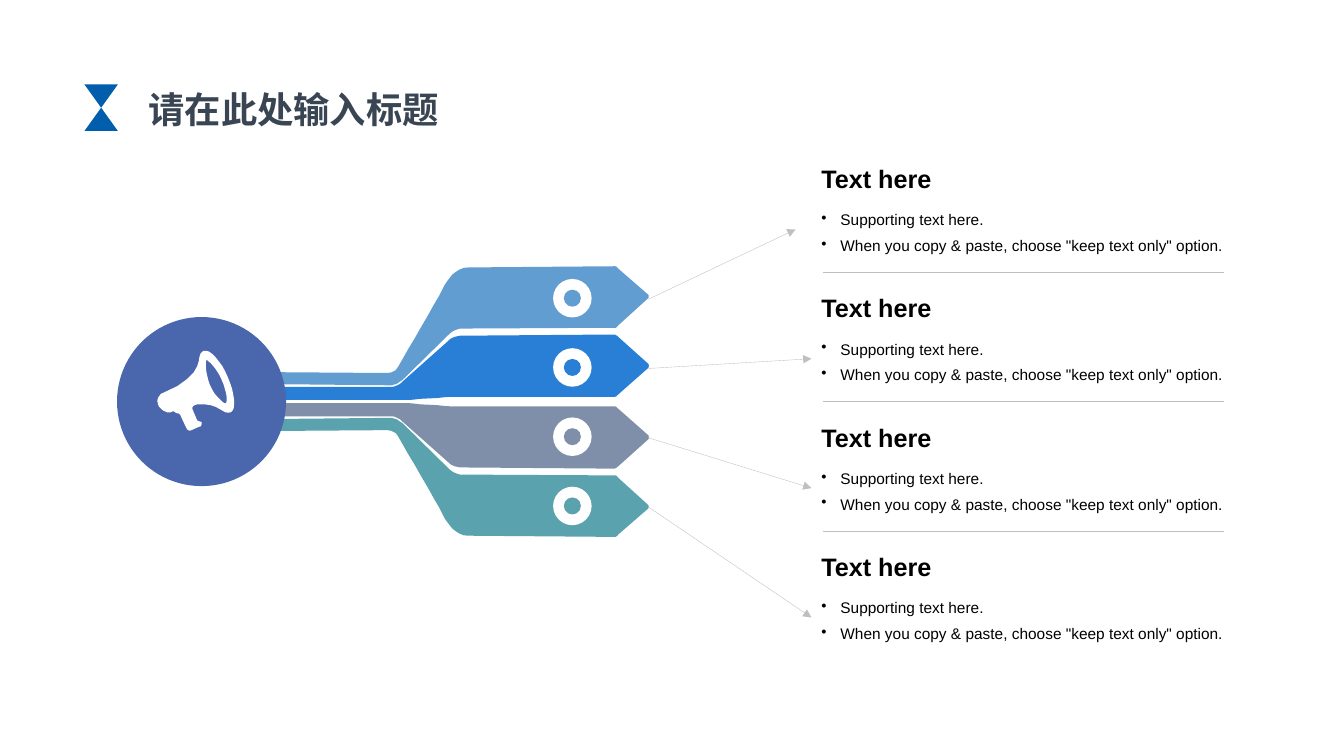
from dataclasses import dataclass

from pptx import Presentation
from pptx.dml.color import RGBColor
from pptx.enum.shapes import MSO_CONNECTOR, MSO_SHAPE as Preset
from pptx.enum.text import MSO_ANCHOR as Anchor, MSO_AUTO_SIZE as Fit, PP_ALIGN as Align
from pptx.oxml.ns import qn
from pptx.oxml.xmlchemy import OxmlElement as Element
from pptx.util import Cm, Pt


@dataclass(frozen=True)
class Theme:
    latin: str = "Arial"
    chinese: str = "Noto Sans CJK SC"
    title: str = "3A4554"
    marker: str = "005EAC"
    hub: str = "4A66AC"
    ribbons: tuple = ("629DD1", "297FD5", "7F8FA9", "5AA2AE")
    text: str = "000000"
    white: str = "FFFFFF"
    rule: str = "BFBFBF"
    title_size: float = 25.9
    heading_size: float = 18
    body_size: float = 11
    rule_width: float = 0.25


THEME = Theme()
SECTION_PITCH = 3.26
RIBBON_PITCH = 1.745
SECTIONS = [("Text here", ["Supporting text here.",
                           'When you copy & paste, choose "keep text only" option.'])] * 4

OUTER_RIBBON = [
    [(3.2, 3)], [(3.35, 3), (3.45, 2.9), (3.51, 2.87)],
    [(4.67, 1.73)], [(4.75, 1.65), (4.88, 1.57), (5.03, 1.57)],
    [(8.84, 1.55)], [(8.89, 1.55), (8.92, 1.55), (8.94, 1.5)],
    [(9.7, 0.81)], [(9.73, 0.79), (9.73, 0.74), (9.7, 0.71)],
    [(8.94, 0.05)], [(8.92, 0), (8.86, 0), (8.84, 0)],
    [(5.18, 0.03)], [(4.85, 0.03), (4.65, 0.33), (4.52, 0.58)],
    [(4.37, 0.89), (3.63, 2.13), (3.4, 2.54)],
    [(3.33, 2.67), (3.18, 2.69), (3.12, 2.69)],
    [(0.41, 2.67)], [(0, 2.95)], [(0.2, 2.97)],
]
INNER_RIBBON = [
    [(4.62, 1.57)], [(8.66, 1.57)], [(8.71, 1.57), (8.74, 1.55), (8.76, 1.52)],
    [(9.53, 0.84)], [(9.55, 0.81), (9.55, 0.76), (9.53, 0.74)],
    [(8.76, 0.05)], [(8.74, 0.03), (8.71, 0), (8.66, 0)],
    [(4.85, 0.03)], [(4.7, 0.03), (4.57, 0.08), (4.5, 0.15)],
    [(3.33, 1.19)], [(3.28, 1.24), (3.2, 1.32), (3, 1.32)],
    [(0, 1.32)], [(0, 1.65)], [(3.45, 1.65)],
    [(3.45, 1.65), (4.52, 1.57), (4.62, 1.57)],
]
HORN_BODY = [
    [(1.8, 0.71)], [(1.63, 0.3), (1.35, 0), (1.19, 0.05)],
    [(0.94, 0.15), (1.35, 0.64), (0.15, 1.12)],
    [(0.05, 1.17), (0, 1.32), (0.05, 1.42)],
    [(0.1, 1.52), (0.25, 1.63), (0.36, 1.6)], [(0.43, 1.57)],
    [(0.51, 1.65), (0.58, 1.6), (0.61, 1.68)], [(0.74, 1.96)],
    [(0.76, 2.01), (0.81, 2.08), (0.86, 2.06)], [(1.09, 1.96)],
    [(1.14, 1.96), (1.14, 1.91), (1.14, 1.85)],
    [(1.12, 1.83), (1.04, 1.83), (1.02, 1.78)], [(0.91, 1.52)],
    [(0.89, 1.45), (0.94, 1.42), (1.04, 1.4)],
    [(1.57, 1.35), (1.68, 1.68), (1.88, 1.6)],
    [(2.01, 1.55), (1.98, 1.12), (1.8, 0.71)],
]
HORN_MOUTH = [
    [(1.75, 1.37)], [(1.73, 1.4), (1.5, 1.24), (1.35, 0.91)],
    [(1.22, 0.58), (1.24, 0.28), (1.27, 0.28)],
    [(1.3, 0.28), (1.52, 0.48), (1.65, 0.79)],
    [(1.8, 1.12), (1.78, 1.37), (1.75, 1.37)],
]


def paint(shape, color):
    shape.shadow.inherit = False
    shape.fill.solid()
    shape.fill.fore_color.rgb = RGBColor.from_string(color)
    shape.line.fill.background()


def add_preset(page, preset, left, top, width, height, color):
    shape = page.shapes.add_shape(preset, Cm(left), Cm(top), Cm(width), Cm(height))
    paint(shape, color)


def flatten(outline, steps=8):
    points = []
    for segment in outline:
        if len(segment) == 1:
            points += segment
            continue
        nodes = [points[-1], *segment]
        for step in range(1, steps + 1):
            t = step / steps
            weights = ((1 - t) ** 3, 3 * t * (1 - t) ** 2, 3 * t * t * (1 - t), t ** 3)
            points.append(tuple(sum(w * node[axis] for w, node in zip(weights, nodes))
                                for axis in (0, 1)))
    return points


def add_outline(page, contours, left, top, color, mirror=None):
    builder = None
    for contour in contours:
        points = [(left + x, top + y) for x, y in flatten(contour)]
        if mirror is not None:
            points = [(x, 2 * mirror - y) for x, y in points]
        points = [(x * 100, y * 100) for x, y in points]
        if builder is None:
            builder = page.shapes.build_freeform(*points[0], scale=Cm(0.01))
        else:
            builder.move_to(*points[0])
        builder.add_line_segments(points[1:], close=True)
    paint(builder.convert_to_shape(), color)


def add_line(page, start, end, arrow=False):
    line = page.shapes.add_connector(MSO_CONNECTOR.STRAIGHT, *map(Cm, (*start, *end)))
    line.line.color.rgb = RGBColor.from_string(THEME.rule)
    line.line.width = Pt(THEME.rule_width)
    if arrow:
        head = Element("a:tailEnd")
        head.set("type", "triangle")
        line.line._get_or_add_ln().append(head)
    line._element.spPr.append(Element("a:effectLst"))


def style(para, size, color, bold=False, font=THEME.latin):
    for span in para.runs:
        span.font.name = font
        span.font.size = Pt(size)
        span.font.bold = bold
        span.font.color.rgb = RGBColor.from_string(color)


def add_bullet(para):
    properties = para._p.get_or_add_pPr()
    properties.set("marL", str(Cm(0.48)))
    properties.set("indent", str(-Cm(0.48)))
    bullet = Element("a:buChar")
    bullet.set("char", "•")
    properties.append(bullet)
    para.line_spacing = 1.4


def add_title(page, left, top):
    add_preset(page, Preset.FLOWCHART_COLLATE, left, top, 0.84, 1.17, THEME.marker)
    title = page.shapes.title
    title.left, title.top, title.width, title.height = map(Cm, (left + 0.84, top, 8.86, 1.22))
    frame = title.text_frame
    frame.text = "请在此处输入标题"
    frame.auto_size = Fit.NONE
    frame.word_wrap = False
    frame.vertical_anchor = Anchor.MIDDLE
    frame.margin_left = frame.margin_right = 0
    para = frame.paragraphs[0]
    para.alignment = Align.CENTER
    style(para, THEME.title_size, THEME.title, True, THEME.chinese)
    east_asian = Element("a:ea")
    east_asian.set("typeface", THEME.chinese)
    para.runs[0].font._element.find(qn("a:latin")).addnext(east_asian)


def add_diagram(page, left, axis):
    ribbons = [(OUTER_RIBBON, 3.68, 3.41, None), (INNER_RIBBON, 3.86, 1.69, None),
               (INNER_RIBBON, 3.86, 1.69, axis), (OUTER_RIBBON, 3.68, 3.41, axis)]
    for index, (outline, indent, rise, mirror) in enumerate(ribbons):
        color = THEME.ribbons[index]
        badge_top = axis - 3.09 + index * RIBBON_PITCH
        add_outline(page, [outline], left + indent, axis - rise, color, mirror)
        add_preset(page, Preset.OVAL, left + 10.99, badge_top, 0.97, 0.97, THEME.white)
        add_preset(page, Preset.OVAL, left + 11.26, badge_top + 0.27, 0.43, 0.43, color)
    add_preset(page, Preset.OVAL, left, axis - 2.13, 4.26, 4.26, THEME.hub)
    add_outline(page, [HORN_BODY, HORN_MOUTH], left + 0.99, axis - 1.33, THEME.white)


def add_section(page, left, top, heading, points):
    parts = [(top, 1.09, Anchor.BOTTOM, [heading]), (top + 1.08, 1.6, Anchor.TOP, points)]
    for part_top, height, anchor, lines in parts:
        box = page.shapes.add_textbox(Cm(left), Cm(part_top), Cm(10.69), Cm(height))
        frame = box.text_frame
        frame.word_wrap = True
        frame.vertical_anchor = anchor
        frame.text = "\n".join(lines)
        for para in frame.paragraphs:
            if lines is points:
                add_bullet(para)
                style(para, THEME.body_size, THEME.text)
            else:
                style(para, THEME.heading_size, THEME.text, True)


def add_sections(page, left, top):
    for index, (heading, points) in enumerate(SECTIONS):
        section_top = top + index * SECTION_PITCH
        add_section(page, left, section_top, heading, points)
        if index:
            add_line(page, (left + 0.28, section_top - 0.31), (left + 10.39, section_top - 0.31))
        arrow_end = left if index else left - 0.4
        add_line(page, (16.34, 7.54 + index * RIBBON_PITCH),
                 (arrow_end, section_top + 1.87), arrow=True)


def main():
    deck = Presentation()
    deck.slide_width, deck.slide_height = Cm(33.87), Cm(19.05)
    page = deck.slides.add_slide(deck.slide_layouts[5])
    add_title(page, 2.13, 2.13)
    add_diagram(page, 2.95, 10.12)
    add_sections(page, 20.45, 3.91)
    deck.save("out.pptx")


if __name__ == "__main__":
    main()
